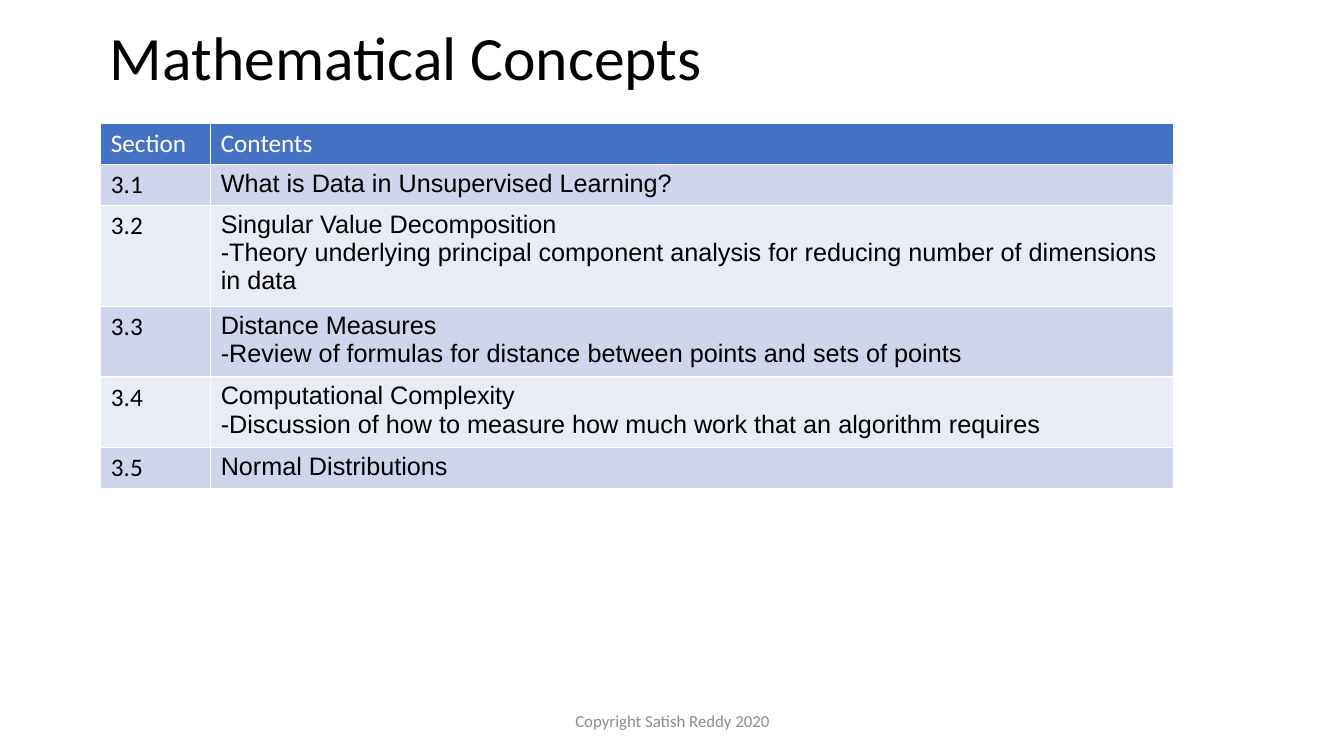
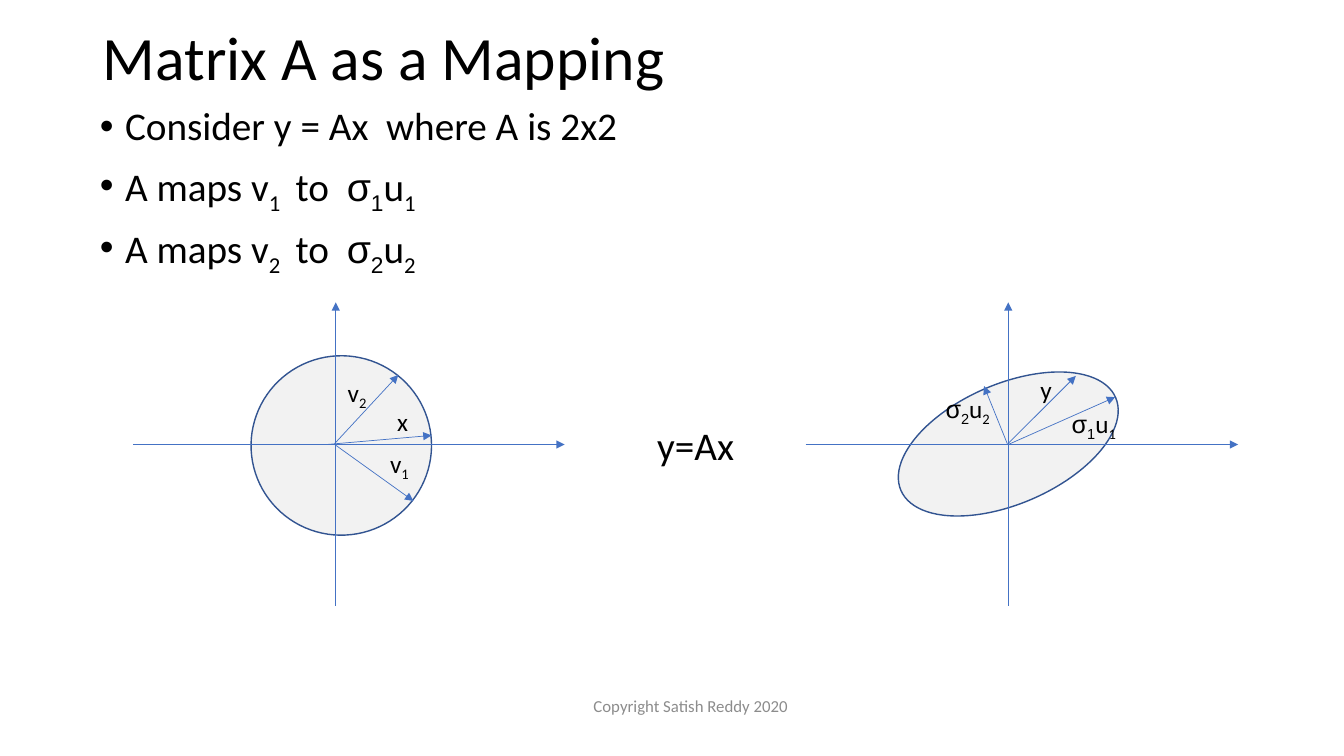
from lxml.etree import SubElement
from pptx import Presentation
from pptx.dml.color import RGBColor
from pptx.enum.shapes import MSO_CONNECTOR, MSO_SHAPE
from pptx.enum.text import MSO_ANCHOR, MSO_AUTO_SIZE, PP_ALIGN
from pptx.oxml.ns import qn
from pptx.util import Pt

PX = 9144  # EMU, 100 px to the inch
BLACK, WHITE, GREY = "000000", "FFFFFF", "8C8C8C"
BLUE, OUTLINE, DISC = "4472C4", "325491", "F2F2F2"
BANDS = ["CFD5EA", "E9EBF5"]
COPYRIGHT = "Copyright Satish Reddy 2020"


def color(target, value):
    """Colour a font or line, or fill a solid area, with a hex string."""
    if hasattr(target, "solid"):
        target.solid()
        target.fore_color.rgb = RGBColor.from_string(value)
    else:
        target.color.rgb = RGBColor.from_string(value)


def write(paragraph, text, size, value=BLACK):
    """Write runs split at |; those starting with _ are subscripts."""
    paragraph.font.size = Pt(size)
    paragraph.font.name = "Calibri"
    color(paragraph.font, value)
    face = None
    for part in text.split("|"):
        run = paragraph.add_run()
        run.text = part.removeprefix("_")
        if part.startswith("_"):
            run.font._element.set("baseline", "-25000")
        else:
            face = "Arial" if part == "σ" else None
        run.font.name = face


prs = Presentation()
prs.slide_width, prs.slide_height = 1333 * PX, 750 * PX

# Layout number, title, title box, copyright box
pages = [
    (5, "Mathematical Concepts", (99, 12, 958, 97), (442, 695, 450, 40)),
    (1, "Matrix A as a Mapping", (92, 12, 1150, 97), (344, 680, 682, 40)),
]
for layout, heading, title_box, copyright_box in pages:
    slide = prs.slides.add_slide(prs.slide_layouts[layout])
    title = slide.shapes.title
    title.left, title.top, title.width, title.height = [v * PX for v in title_box]
    frame = title.text_frame
    frame.auto_size = MSO_AUTO_SIZE.NONE
    frame.vertical_anchor = MSO_ANCHOR.MIDDLE
    frame.paragraphs[0].alignment = PP_ALIGN.LEFT
    frame.paragraphs[0].line_spacing = 0.9
    write(frame.paragraphs[0], heading, 44)

    frame = slide.shapes.add_textbox(*[v * PX for v in copyright_box]).text_frame
    frame.word_wrap = True
    frame.vertical_anchor = MSO_ANCHOR.MIDDLE
    frame.paragraphs[0].alignment = PP_ALIGN.CENTER
    write(frame.paragraphs[0], COPYRIGHT, 12, GREY)

concepts, mapping = prs.slides

# Table of sections: height, number, contents
sections = [
    (41, "Section", "Contents"),
    (41, "3.1", "What is Data in Unsupervised Learning?"),
    (94, "3.2", "Singular Value Decomposition\n-Theory underlying principal component "
                "analysis for reducing number of dimensions in data"),
    (66, "3.3", "Distance Measures\n-Review of formulas for distance between points "
                "and sets of points"),
    (66, "3.4", "Computational Complexity\n-Discussion of how to measure how much work "
                "that an algorithm requires"),
    (41, "3.5", "Normal Distributions"),
]
table = concepts.shapes.add_table(
    len(sections), 2, 100 * PX, 122 * PX, 1064 * PX, 349 * PX).table
for column, width in zip(table.columns, (109, 955)):
    column.width = width * PX
for row, (height, *texts) in enumerate(sections):
    table.rows[row].height = height * PX
    for col, text in enumerate(texts):
        cell = table.cell(row, col)
        color(cell.fill, BANDS[(row - 1) % 2] if row else BLUE)
        cell.text = text
        for paragraph in cell.text_frame.paragraphs:
            paragraph.font.size = Pt(18)
            paragraph.font.bold = False
            paragraph.font.name = "Arial" if row and col else "Calibri"
            color(paragraph.font, BLACK if row else WHITE)

# Bullets of the mapping
body = mapping.placeholders[1]
body.left, body.top, body.width, body.height = 89 * PX, 101 * PX, 1150 * PX, 266 * PX
body.text_frame.auto_size = MSO_AUTO_SIZE.NONE
bullets = [
    "Consider y = Ax  where A is 2x2",
    "A maps v|_1   |to  |σ|_1|u|_1",
    "A maps v|_2   |to  |σ|_2|u|_2",
]
for i, bullet in enumerate(bullets):
    paragraph = body.text_frame.add_paragraph() if i else body.text_frame.paragraphs[0]
    paragraph.line_spacing = 0.9
    paragraph.space_before = Pt(10)
    properties = paragraph._p.get_or_add_pPr()
    properties.set("marL", str(25 * PX))
    properties.set("indent", str(-25 * PX))
    write(paragraph, bullet, 28)

# Each plot: ellipse box, its rotation, arrows (axes first), labels
plots = [
    ((249, 353, 179, 178), 353.4,
     [(333, 601, 333, 300), (132, 441, 560, 441), (332, 441, 410, 497),
      (332, 440, 395, 372), (324, 441, 428, 432)],
     [("v|_1", 377, 440, 40), ("v|_2", 335, 369, 40), ("x", 384, 398, 31)]),
    ((884, 381, 232, 119), 336.6,
     [(1000, 601, 1000, 300), (799, 441, 1228, 441), (1000, 441, 1106, 394),
      (999, 440, 976, 383), (999, 441, 1067, 373)],
     [("σ|_1|u|_1", 1053, 400, 66), ("σ|_2|u|_2", 928, 385, 66), ("y", 1022, 366, 32)]),
]
labels = [(mapping.shapes, "y=Ax", 642, 413, 97, 57, 28)]
for ellipse_box, rotation, arrows, names in plots:
    plot = mapping.shapes.add_group_shape().shapes
    ellipse = plot.add_shape(MSO_SHAPE.OVAL, *[v * PX for v in ellipse_box])
    ellipse.rotation = rotation
    ellipse.shadow.inherit = False
    color(ellipse.fill, DISC)
    color(ellipse.line, OUTLINE)
    ellipse.line.width = Pt(1)
    for ends in arrows:
        arrow = plot.add_connector(MSO_CONNECTOR.STRAIGHT, *[v * PX for v in ends])
        color(arrow.line, BLUE)
        arrow.line.width = Pt(0.5)
        SubElement(arrow.line._get_or_add_ln(), qn("a:tailEnd"), type="triangle")
        SubElement(arrow._element.spPr, qn("a:effectLst"))
    labels += [(plot, *name, 40, 18) for name in names]

for shapes, text, left, top, width, height, size in labels:
    frame = shapes.add_textbox(left * PX, top * PX, width * PX, height * PX).text_frame
    frame.word_wrap = False
    frame.auto_size = MSO_AUTO_SIZE.SHAPE_TO_FIT_TEXT
    write(frame.paragraphs[0], text, size)

prs.save("out.pptx")
